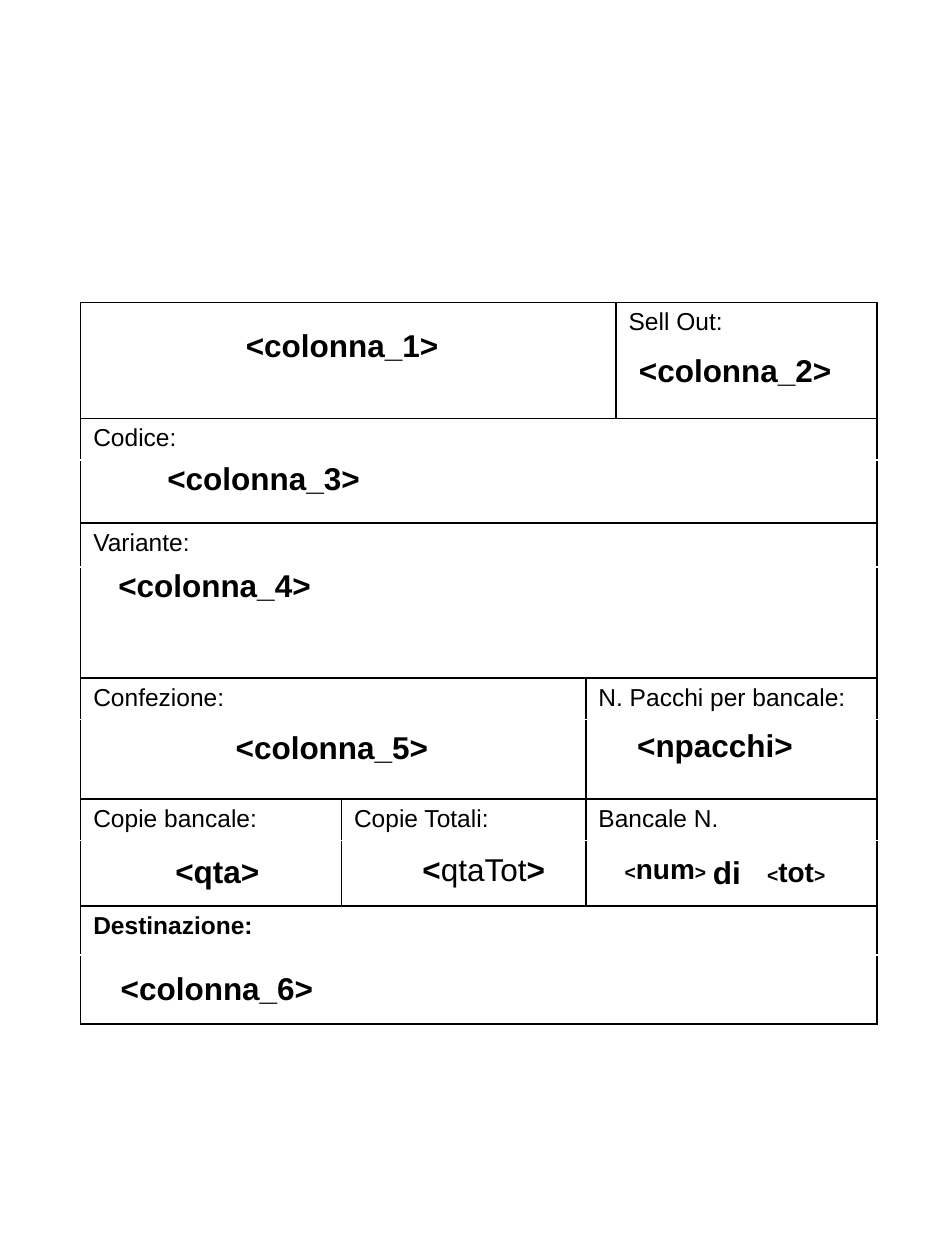
from dataclasses import dataclass

from lxml.etree import SubElement
from pptx import Presentation
from pptx.dml.color import RGBColor
from pptx.enum.text import MSO_ANCHOR, MSO_AUTO_SIZE, PP_ALIGN
from pptx.oxml.ns import qn
from pptx.slide import Slide
from pptx.table import Table, _Cell
from pptx.util import Inches, Pt

BLACK = RGBColor(0, 0, 0)
WHITE = RGBColor(255, 255, 255)
FONT = "Arial"

COLUMN_WIDTHS = (2.07, 1.94, 0.13, 2.07)
ROW_HEIGHTS = (0.92, 0.33, 0.5, 0.35, 0.88, 0.33, 0.63, 0.33, 0.52, 0.39, 0.55)


@dataclass(frozen=True)
class Label:
    row: int
    column: int
    text: str
    size: int = 14
    bold: bool = False


@dataclass(frozen=True)
class Run:
    text: str
    size: int = 18
    bold: bool = True


@dataclass(frozen=True)
class Field:
    left: float
    top: float
    width: float
    runs: tuple[Run, ...]
    centered: bool = False
    height: float = 0.4


def counter(name: str) -> tuple[Run, ...]:
    """Placeholder name set larger than its angle brackets."""
    return Run("<", 11), Run(name, 16), Run(">", 11)


# Column spans of each row; a label row and its value row share the same spans.
FULL, HALVES, THIRDS = (4,), (2, 2), (1, 1, 2)
ROW_SPANS = ((3, 1), FULL, FULL, FULL, FULL, HALVES, HALVES, THIRDS, THIRDS, FULL, FULL)

LABELS = (
    Label(0, 3, "Sell Out:"),
    Label(1, 0, "Codice:"),
    Label(3, 0, "Variante:"),
    Label(5, 0, "Confezione:"),
    Label(5, 2, "N. Pacchi per bancale:"),
    Label(7, 0, "Copie bancale:"),
    Label(7, 1, "Copie Totali:"),
    Label(7, 2, "Bancale N."),
    Label(8, 2, "di ", size=18, bold=True),
    Label(9, 0, "Destinazione:", bold=True),
)

FIELDS = (
    Field(0.66, 2.54, 4.11, (Run("<colonna_1>"),), centered=True),
    Field(4.81, 2.74, 2.05, (Run("<colonna_2>"),), centered=True),
    Field(1.23, 3.59, 2.06, (Run("<colonna_3>"),)),
    Field(0.84, 4.44, 5.75, (Run("<colonna_4>"),)),
    Field(0.67, 5.73, 3.93, (Run("<colonna_5>"),), centered=True),
    Field(4.65, 5.71, 2.05, (Run("<npacchi>"),), centered=True),
    Field(0.7, 6.71, 2.05, (Run("<qta>"),), centered=True),
    Field(2.87, 6.7, 1.94, (Run("<"), Run("qtaTot", bold=False), Run(">")), centered=True),
    Field(4.86, 6.71, 0.86, counter("num"), height=0.37),
    Field(5.99, 6.73, 0.71, counter("tot"), height=0.37),
    Field(0.86, 7.64, 5.75, (Run("<colonna_6>"),)),
)


def style_cell(cell: _Cell, top: RGBColor, bottom: RGBColor) -> None:
    properties = cell._tc.get_or_add_tcPr()
    for side, color in (("L", BLACK), ("R", BLACK), ("T", top), ("B", bottom)):
        line = SubElement(properties, qn(f"a:ln{side}"), w=str(Pt(1)))
        fill = SubElement(line, qn("a:solidFill"))
        SubElement(fill, qn("a:srgbClr"), val=str(color))
    cell.fill.solid()
    cell.fill.fore_color.rgb = WHITE
    cell.text_frame.paragraphs[0].font.size = Pt(14)


def write_label(table: Table, label: Label) -> None:
    cell = table.cell(label.row, label.column)
    paragraph = cell.text_frame.paragraphs[0]
    paragraph.text = label.text
    paragraph.font.name = FONT
    paragraph.font.size = Pt(label.size)
    paragraph.font.bold = label.bold
    paragraph.font.color.rgb = BLACK
    if label.text.startswith("di"):
        cell.vertical_anchor = MSO_ANCHOR.MIDDLE
        paragraph.alignment = PP_ALIGN.CENTER


def add_form(slide: Slide) -> None:
    form = slide.shapes.add_table(
        len(ROW_HEIGHTS), len(COLUMN_WIDTHS),
        Inches(0.64), Inches(2.4), Inches(sum(COLUMN_WIDTHS)), Inches(sum(ROW_HEIGHTS)),
    ).table
    form.first_row = form.horz_banding = False
    for column, width in zip(form.columns, COLUMN_WIDTHS):
        column.width = Inches(width)
    for index, (row, height) in enumerate(zip(form.rows, ROW_HEIGHTS)):
        row.height = Inches(height)
        holds_labels = index % 2 == 1
        holds_values = index > 0 and not holds_labels
        for cell in row.cells:
            style_cell(cell, WHITE if holds_values else BLACK, WHITE if holds_labels else BLACK)
        start = 0
        for span in ROW_SPANS[index]:
            if span > 1:
                form.cell(index, start).merge(form.cell(index, start + span - 1))
            start += span
    for label in LABELS:
        write_label(form, label)


def add_field(slide: Slide, field: Field) -> None:
    frame = slide.shapes.add_textbox(
        Inches(field.left), Inches(field.top), Inches(field.width), Inches(field.height)
    ).text_frame
    frame.word_wrap = True
    frame.auto_size = MSO_AUTO_SIZE.SHAPE_TO_FIT_TEXT
    paragraph = frame.paragraphs[0]
    paragraph.alignment = PP_ALIGN.CENTER if field.centered else PP_ALIGN.LEFT
    paragraph.font.name = FONT
    paragraph.font.color.rgb = BLACK
    for part in field.runs:
        run = paragraph.add_run()
        run.text = part.text
        run.font.size = Pt(part.size)
        run.font.bold = part.bold


def main() -> None:
    presentation = Presentation()
    presentation.slide_width = Inches(7.5)
    presentation.slide_height = Inches(10)
    slide = presentation.slides.add_slide(presentation.slide_layouts[6])
    add_form(slide)
    for field in FIELDS:
        add_field(slide, field)
    presentation.save("out.pptx")


if __name__ == "__main__":
    main()
